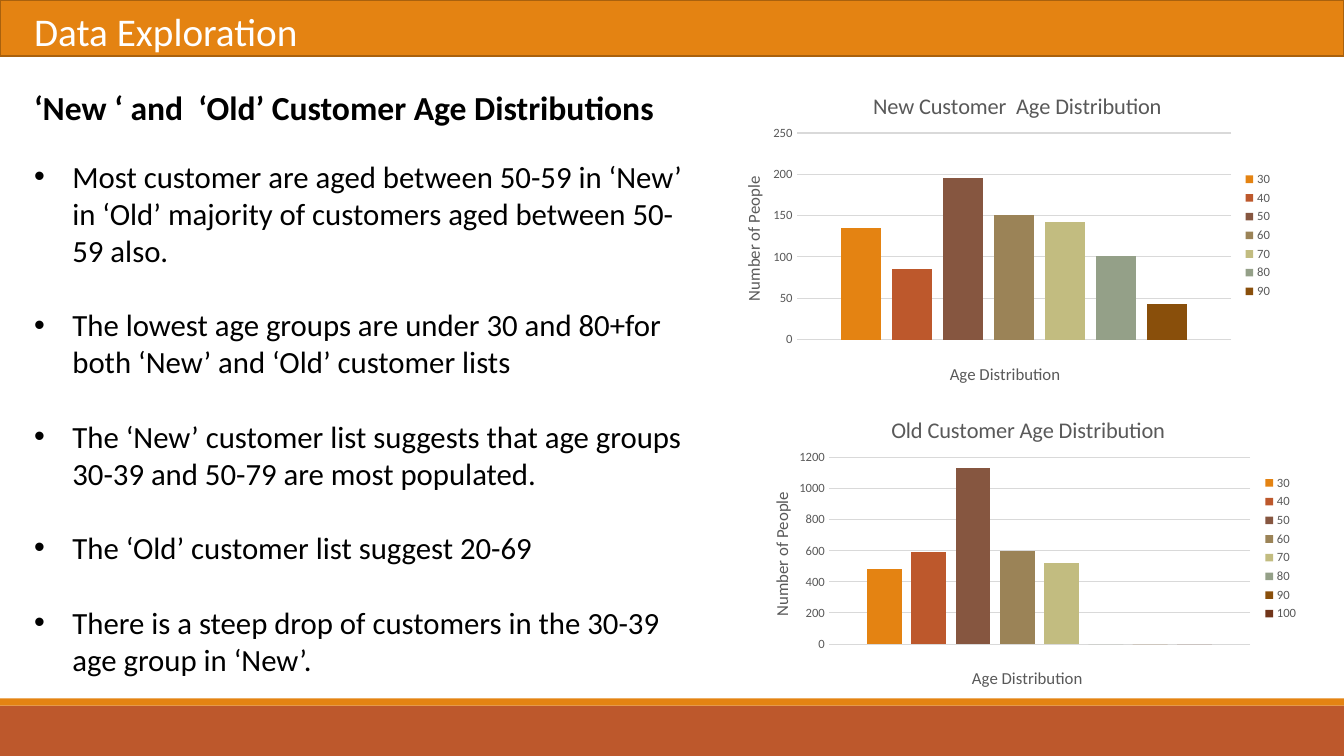
from pptx import Presentation
from pptx.chart.data import CategoryChartData as ChartData
from pptx.dml.color import RGBColor
from pptx.enum.chart import XL_CHART_TYPE as ChartType
from pptx.enum.chart import XL_LEGEND_POSITION as LegendSide
from pptx.enum.chart import XL_TICK_MARK as TickMark
from pptx.oxml import parse_xml
from pptx.oxml.ns import nsdecls, qn
from pptx.util import Inches, Pt

ORANGE = RGBColor(0xE4, 0x83, 0x12)
DARK_ORANGE = RGBColor(0xA9, 0x61, 0x0D)
RUST = RGBColor(0xBD, 0x58, 0x2C)
WHITE = RGBColor(0xFF, 0xFF, 0xFF)
BLACK = RGBColor(0, 0, 0)
GRAY = RGBColor(0x59, 0x59, 0x59)
GRID = RGBColor(0xD9, 0xD9, 0xD9)
AGE_COLORS = [ORANGE, RUST, RGBColor(0x86, 0x56, 0x40),
              RGBColor(0x9B, 0x83, 0x57), RGBColor(0xC2, 0xBC, 0x80),
              RGBColor(0x94, 0xA0, 0x88), RGBColor(0x89, 0x4F, 0x0B),
              RGBColor(0x71, 0x35, 0x1A)]

WIDTH = 13.33
HEADING = "‘New ‘ and  ‘Old’ Customer Age Distributions"
FINDINGS = [
    "Most customer are aged between 50-59 in ‘New’ in ‘Old’ majority of "
    "customers aged between 50-59 also.",
    "The lowest age groups are under 30 and 80+for both ‘New’ and ‘Old’ "
    "customer lists",
    "The ‘New’ customer list suggests that age groups 30-39 and 50-79 are "
    "most populated.",
    "The ‘Old’ customer list suggest 20-69",
    "There is a steep drop of customers in the 30-39 age group in ‘New’.",
]
# Places inside each chart are inches from the chart's top left corner.
NEW_CHART = {
    "title": "New Customer  Age Distribution", "top": 250, "step": 50,
    "counts": [135, 85, 195, 151, 142, 101, 43],
    "plot_at": (0.82, 0.63, 4.31, 2.05), "title_at": (1.54, 0.17),
    "people_at": (0.25, 1.03), "age_at": (2.31, 2.88),
}
OLD_CHART = {
    "title": "Old Customer Age Distribution", "top": 1200, "step": 200,
    "counts": [480, 590, 1130, 600, 520, 0, 0, 0],
    "plot_at": (0.88, 0.65, 4.18, 1.85), "title_at": (1.46, 0.19),
    "people_at": (0.27, 0.96), "age_at": (2.27, 2.69),
}


def apply_format(target, values):
    """Set each attribute named in values on target."""
    for name, value in values.items():
        setattr(target, name, value)


def style_font(font, size, color, bold=False):
    """Give a font its face, size, weight and colour."""
    apply_format(font, {"name": "Calibri", "size": Pt(size), "bold": bold})
    font.color.rgb = color


def add_band(page, box, fill, line=None):
    """Draw a flat rectangle filling box."""
    band = page.shapes.add_shape(1, *map(Inches, box))
    band.shadow.inherit = False
    band.fill.solid()
    band.fill.fore_color.rgb = fill
    if line is None:
        band.line.fill.background()
    else:
        band.line.color.rgb = line
        band.line.width = Pt(1.25)


def add_text_frame(page, box):
    """Add a wrapping text box and return its frame."""
    frame = page.shapes.add_textbox(*map(Inches, box)).text_frame
    frame.word_wrap = True
    return frame


def add_span(para, text, size, color, bold=False):
    """Add one styled run to a paragraph."""
    span = para.add_run()
    span.text = text
    style_font(span.font, size, color, bold)


def add_header(page, box):
    """Draw the title bar with the slide title."""
    left, top, width, height = box
    add_band(page, box, ORANGE, DARK_ORANGE)
    frame = add_text_frame(page, (left + 0.24, top + 0.02, 3.08, height))
    add_span(frame.paragraphs[0], "Data Exploration", 28, WHITE)


def add_footer(page, box):
    """Draw the rust footer with its thin orange stripe on top."""
    left, top, width, height = box
    stripe = 0.07
    add_band(page, (left, top + stripe, width, height - stripe), RUST)
    add_band(page, (left, top, width, stripe), ORANGE)


def add_findings(page, box):
    """Write the heading and the bulleted findings."""
    frame = add_text_frame(page, box)
    para = frame.paragraphs[0]
    para.space_after = Pt(22)
    add_span(para, HEADING, 24, BLACK, True)
    for finding in FINDINGS:
        para = frame.add_paragraph()
        para.space_after = Pt(0 if finding == FINDINGS[-1] else 26.8)
        add_span(para, finding, 22, BLACK)
        props = para._p.get_or_add_pPr()
        props.set("marL", str(Inches(0.38)))
        props.set("indent", str(Inches(-0.38)))
        props.append(parse_xml(
            f'<a:buFont {nsdecls("a")} typeface="Arial"/>'))
        props.append(parse_xml(f'<a:buChar {nsdecls("a")} char="•"/>'))


def place_part(element, spot, box):
    """Fix a title or the plot area at spot within the chart box."""
    for old in element.findall(qn("c:layout")):
        element.remove(old)
    modes = "".join(f'<c:{axis}Mode val="edge"/>' for axis in "xy")
    target = '<c:layoutTarget val="inner"/>' if len(spot) == 4 else ""
    scale = (box[2], box[3]) * 2
    parts = "".join(f'<c:{key} val="{value / whole:.4f}"/>'
                    for key, value, whole in zip("xywh", spot, scale))
    layout = parse_xml(
        f'<c:layout {nsdecls("c")}><c:manualLayout>{target}{modes}{parts}'
        '</c:manualLayout></c:layout>')
    text = element.find(qn("c:tx"))
    if text is None:
        element.insert(0, layout)
    else:
        text.addnext(layout)


def set_title(title, text, size, spot, box):
    """Write a chart or axis title and fix its place."""
    add_span(title.text_frame.paragraphs[0], text, size, GRAY)
    place_part(title._element, spot, box)


def add_age_chart(page, box, facts):
    """Draw a column chart with one series for each age group."""
    data = ChartData()
    data.categories = ["1"]
    for index, count in enumerate(facts["counts"]):
        data.add_series(str(30 + 10 * index), [count])
    chart = page.shapes.add_chart(
        ChartType.COLUMN_CLUSTERED, *map(Inches, box), data).chart
    style_font(chart.font, 10, BLACK)
    chart.has_title = True
    set_title(chart.chart_title, facts["title"], 16, facts["title_at"], box)

    plot = chart.plots[0]
    apply_format(plot, {"gap_width": 219, "overlap": -27,
                        "vary_by_categories": False})
    for series, color in zip(plot.series, AGE_COLORS):
        series.format.fill.solid()
        series.format.fill.fore_color.rgb = color
    place_part(chart._chartSpace.chart.plotArea, facts["plot_at"], box)

    ages = chart.category_axis
    apply_format(ages, {"visible": False, "has_title": True})
    set_title(ages.axis_title, "Age Distribution", 12, facts["age_at"], box)

    people = chart.value_axis
    apply_format(people, {
        "minimum_scale": 0, "maximum_scale": facts["top"],
        "major_unit": facts["step"], "has_title": True,
        "major_tick_mark": TickMark.NONE, "minor_tick_mark": TickMark.NONE})
    style_font(people.tick_labels.font, 9, GRAY)
    people.format.line.fill.background()
    people.major_gridlines.format.line.color.rgb = GRID
    people.major_gridlines.format.line.width = Pt(0.75)
    set_title(people.axis_title, "Number of People", 12,
              facts["people_at"], box)
    people.axis_title.text_frame._txBody.bodyPr.set("rot", "-5400000")

    chart.has_legend = True
    apply_format(chart.legend, {"position": LegendSide.RIGHT,
                                "include_in_layout": False})
    style_font(chart.legend.font, 9, GRAY)


def build_deck():
    """Build the one-slide deck and save it."""
    deck = Presentation()
    apply_format(deck, {"slide_width": Inches(WIDTH),
                        "slide_height": Inches(7.5)})
    page = deck.slides.add_slide(deck.slide_layouts[6])
    add_footer(page, (0, 6.93, WIDTH, 0.57))
    add_header(page, (0, 0, WIDTH, 0.56))
    add_findings(page, (0.24, 0.81, 6.66, 5.99))
    add_age_chart(page, (7.08, 0.69, 5.64, 3.29), NEW_CHART)
    add_age_chart(page, (7.34, 3.89, 5.64, 3.1), OLD_CHART)
    deck.save("out.pptx")


build_deck()
